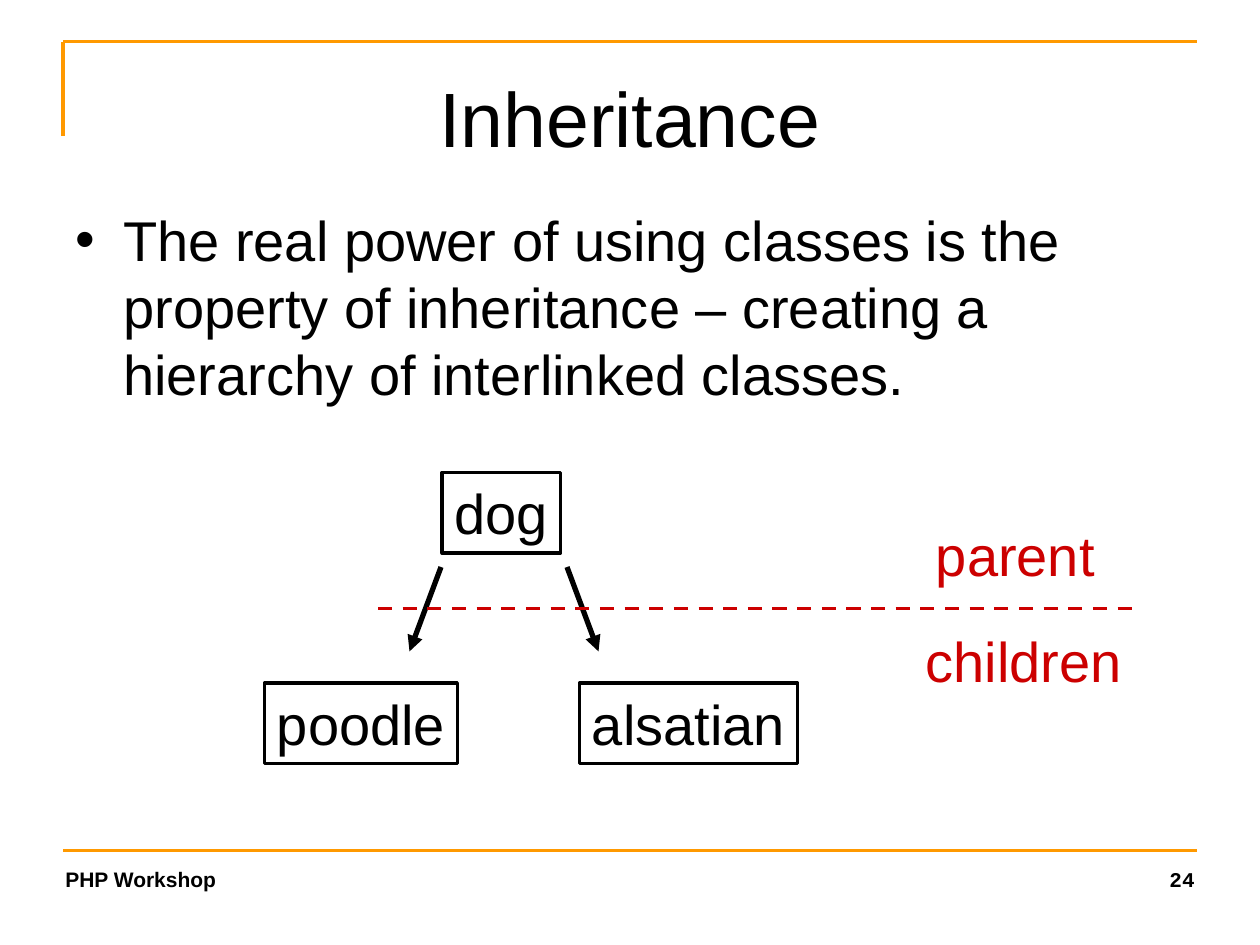
from dataclasses import dataclass
from typing import Optional

import pptx
import pptx.dml.color
import pptx.enum.dml
import pptx.enum.shapes
import pptx.enum.text
import pptx.oxml.ns
import pptx.oxml.xmlchemy
import pptx.util
from lxml import etree

Inches = pptx.util.Inches
Pt = pptx.util.Pt
RGBColor = pptx.dml.color.RGBColor
Align = pptx.enum.text.PP_ALIGN
Anchor = pptx.enum.text.MSO_ANCHOR
qualified = pptx.oxml.ns.qn

BLACK = RGBColor(0x00, 0x00, 0x00)
ORANGE = RGBColor(0xFF, 0x99, 0x00)
RED = RGBColor(0xCC, 0x00, 0x00)


@dataclass(frozen=True)
class Label:
    text: str
    left: float
    top: float
    width: float
    color: RGBColor = BLACK
    height: float = 0.64


@dataclass(frozen=True)
class Line:
    start: tuple[float, float]
    end: tuple[float, float]
    color: RGBColor
    width: float = 2
    dashed: bool = False
    arrow: bool = False


FRAME_LINES = [
    Line((0.5, 6.75), (9.5, 6.75), ORANGE),
    Line((0.5, 0.33), (9.5, 0.33), ORANGE),
    Line((0.5, 1.08), (0.5, 0.33), ORANGE),
]
CLASS_BOXES = [
    Label("dog", 3.51, 3.75, 0.94),
    Label("poodle", 2.1, 5.42, 1.53),
    Label("alsatian", 4.6, 5.42, 1.73),
]
INHERITANCE_ARROWS = [
    Line((3.5, 4.5), (3.25, 5.17), BLACK, width=3, arrow=True),
    Line((4.5, 4.5), (4.75, 5.17), BLACK, width=3, arrow=True),
]
LEVEL_LABELS = [
    Label("parent", 7.33, 4.08, 1.46, RED),
    Label("children", 7.25, 4.92, 1.76, RED),
]
LEVEL_DIVIDER = Line((3, 4.83), (9, 4.83), RED, dashed=True)


def write_text(shape, text: str, *, size: float = 32, color: RGBColor = BLACK,
               font: str = "Arial", bold: bool = False, align=Align.LEFT,
               anchor=Anchor.TOP, wrap: bool = True, space_before: float = 0,
               bullet: Optional[str] = None) -> None:
    frame = shape.text_frame
    frame.word_wrap = wrap
    frame.vertical_anchor = anchor
    paragraph = frame.paragraphs[0]
    paragraph.alignment = align
    paragraph.space_before = Pt(space_before)
    run = paragraph.add_run()
    run.text = text
    run.font.name = font
    run.font.size = Pt(size)
    run.font.bold = bold
    run.font.color.rgb = color
    if bullet:
        properties = paragraph._p.get_or_add_pPr()
        properties.set("marL", str(Inches(0.38)))
        properties.set("indent", str(Inches(-0.38)))
        etree.SubElement(properties, qualified("a:buFont"), typeface=font)
        etree.SubElement(properties, qualified("a:buChar"), char=bullet)


def add_text(slide, label: Label, **text_format) -> None:
    shape = slide.shapes.add_textbox(Inches(label.left), Inches(label.top),
                                     Inches(label.width), Inches(label.height))
    write_text(shape, label.text, color=label.color, **text_format)


def add_class_box(slide, label: Label) -> None:
    shape = slide.shapes.add_shape(
        pptx.enum.shapes.MSO_SHAPE.RECTANGLE, Inches(label.left), Inches(label.top),
        Inches(label.width), Inches(label.height))
    shape.shadow.inherit = False
    shape.fill.background()
    shape.line.color.rgb = label.color
    shape.line.width = Pt(2)
    write_text(shape, label.text, color=label.color, wrap=False)


def add_line(slide, line: Line) -> None:
    connector = slide.shapes.add_connector(
        pptx.enum.shapes.MSO_CONNECTOR.STRAIGHT,
        *(Inches(value) for value in line.start + line.end))
    connector.line.color.rgb = line.color
    connector.line.width = Pt(line.width)
    if line.dashed:
        connector.line.dash_style = pptx.enum.dml.MSO_LINE.DASH
    if line.arrow:
        etree.SubElement(connector.line._get_or_add_ln(),
                         qualified("a:tailEnd"), type="triangle")
    etree.SubElement(connector._element.spPr, qualified("a:effectLst"))


def main() -> None:
    presentation = pptx.Presentation()
    presentation.slide_width = Inches(10)
    presentation.slide_height = Inches(7.5)
    slide = presentation.slides.add_slide(presentation.slide_layouts[6])

    for line in FRAME_LINES:
        add_line(slide, line)
    add_text(slide, Label("PHP Workshop", 0.42, 6.83, 2.48, height=0.32),
             size=12, bold=True, space_before=3)
    add_text(slide, Label("24", 7.01, 6.83, 2.57, height=0.32),
             size=12, bold=True, space_before=3, font="Courier New", align=Align.RIGHT)
    add_text(slide, Label("Inheritance", 0.5, 0.3, 9, height=1.25),
             size=44, align=Align.CENTER, anchor=Anchor.MIDDLE)
    add_text(slide, Label("The real power of using classes is the property of inheritance "
                          "– creating a hierarchy of interlinked classes.",
                          0.5, 1.58, 9, height=4.95),
             space_before=8, bullet="•")
    for box in CLASS_BOXES:
        add_class_box(slide, box)
    for arrow in INHERITANCE_ARROWS:
        add_line(slide, arrow)
    for label in LEVEL_LABELS:
        add_text(slide, label, wrap=False)
    add_line(slide, LEVEL_DIVIDER)

    presentation.save("out.pptx")


if __name__ == "__main__":
    main()
